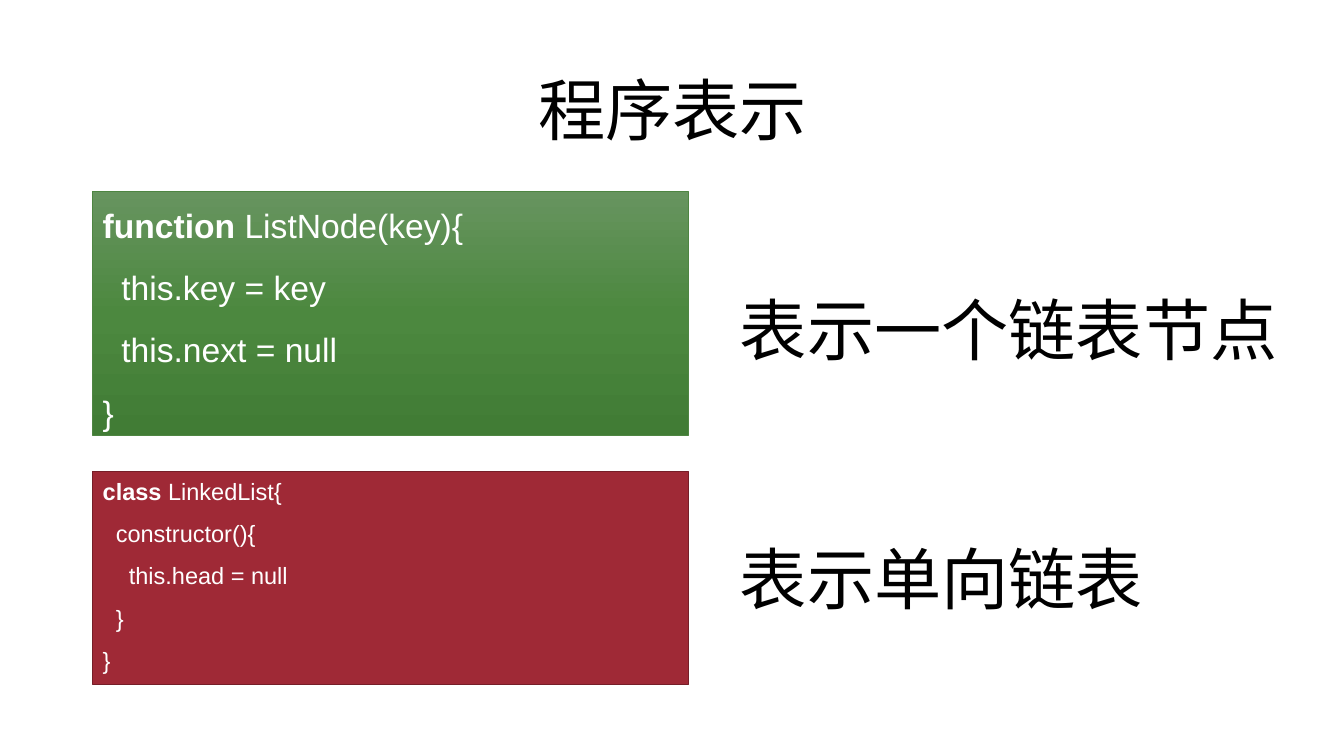
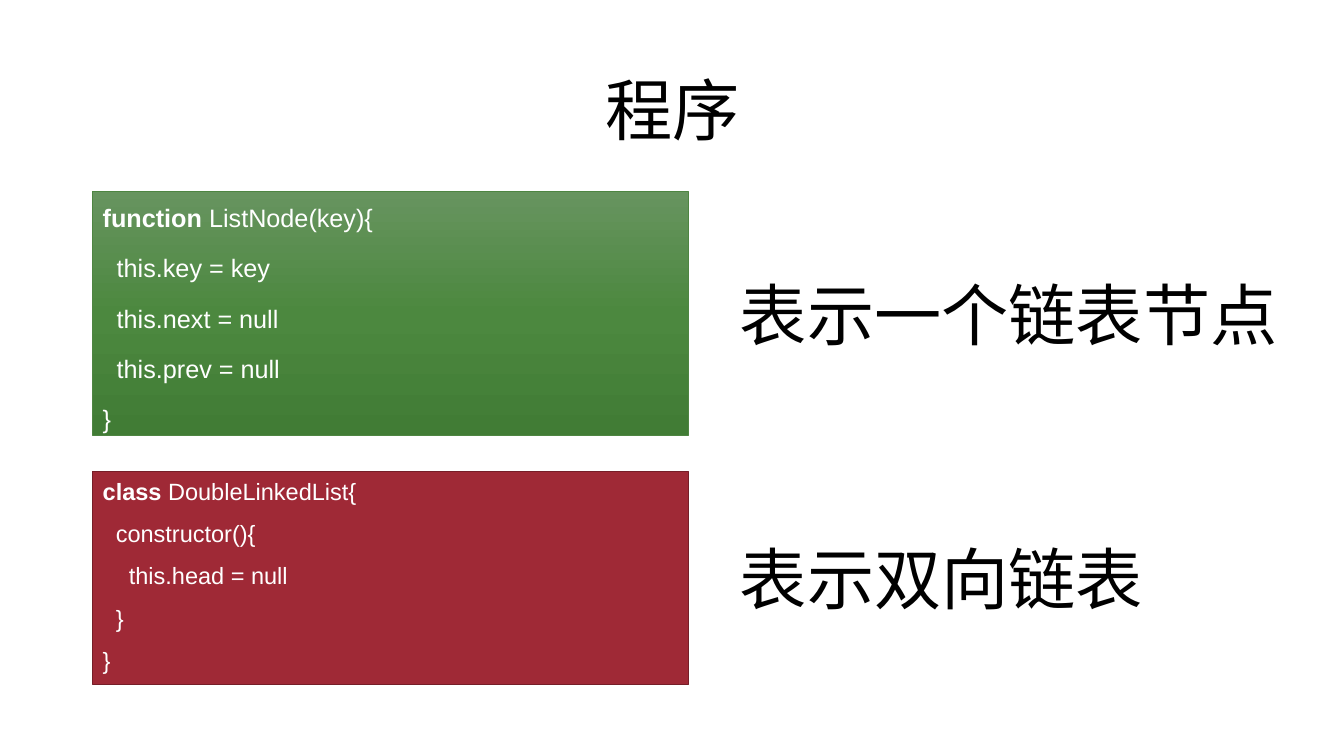
from lxml.etree import SubElement
from pptx import Presentation
from pptx.dml.color import RGBColor
from pptx.enum.shapes import MSO_SHAPE as Preset
from pptx.enum.text import MSO_ANCHOR as Anchor, MSO_AUTO_SIZE as AutoSize, PP_ALIGN as Align
from pptx.oxml.ns import qn
from pptx.util import Inches, Pt

# Shared style
FONT = "Arial"
BLACK, WHITE = "000000", "FFFFFF"
RED, RED_EDGE = "9F2936", "761E28"
GREEN_EDGE = "4E8542"
GREEN_STOPS = [(0, "67945F"), (50, "4C883F"), (100, "417C35")]
LEFT, CODE_WIDTH, LABEL_LEFT = 0.92, 5.91, 7.24
HEADING_SIZE = 48
SPACE_WIDTH = 0.278  # width of a space, as a share of the font size

# Content
CONSTRUCTOR = [(2, "", "constructor(){"), (4, "", "this.head = null"),
               (2, "", "}"), (0, "", "}")]
SLIDES = [
    {"title": "程序表示", "node_size": 24, "node_fields": ["key = key", "next = null"],
     "class_name": "LinkedList", "node_label_top": 2.81, "list_label": "表示单向链表"},
    {"title": "程序", "node_size": 18,
     "node_fields": ["key = key", "next = null", "prev = null"],
     "class_name": "DoubleLinkedList", "node_label_top": 2.66,
     "list_label": "表示双向链表"},
]


def color(value):
    return RGBColor.from_string(value)


def add_span(para, text, size, ink, bold=False):
    span = para.add_run()
    span.text = text
    span.font.name = FONT
    span.font.size = Pt(size)
    span.font.bold = bold
    span.font.color.rgb = color(ink)


def set_title(page, text):
    title = page.shapes.title
    title.left, title.top = Inches(LEFT), Inches(0.4)
    title.width, title.height = Inches(11.5), Inches(1.45)
    title.text_frame.vertical_anchor = Anchor.MIDDLE
    para = title.text_frame.paragraphs[0]
    para.alignment = Align.CENTER
    para.line_spacing = 0.9
    add_span(para, text, HEADING_SIZE, BLACK)


def fill_gradient(shape, stops):
    shape.fill.gradient()
    shape.fill.gradient_angle = 270
    stop_list = shape.element.spPr.find(qn("a:gradFill")).find(qn("a:gsLst"))
    for old_stop in list(stop_list):
        stop_list.remove(old_stop)
    for percent, value in stops:
        stop = SubElement(stop_list, qn("a:gs"), pos=str(percent * 1000))
        SubElement(stop, qn("a:srgbClr"), val=value)


def add_code_box(page, top, height, edge, edge_width, lines, size, line_spacing):
    """Each line is (indent in spaces, bold keyword, rest)."""
    box = page.shapes.add_shape(Preset.RECTANGLE, Inches(LEFT), Inches(top),
                                Inches(CODE_WIDTH), Inches(height))
    box.shadow.inherit = False
    box.line.color.rgb = color(edge)
    box.line.width = Pt(edge_width)
    frame = box.text_frame
    frame.word_wrap = True
    frame.vertical_anchor = Anchor.TOP
    frame.margin_bottom = 0
    for number, (indent, keyword, rest) in enumerate(lines):
        para = frame.add_paragraph() if number else frame.paragraphs[0]
        para.alignment = Align.LEFT
        para.line_spacing = line_spacing
        para.space_before = Pt(10)
        margin = Pt(indent * SPACE_WIDTH * size)
        para._p.get_or_add_pPr().set("marL", str(int(margin)))
        if keyword:
            add_span(para, keyword, size, WHITE, bold=True)
        add_span(para, rest, size, WHITE)
    return box


def add_label(page, top, width, text):
    box = page.shapes.add_textbox(Inches(LABEL_LEFT), Inches(top),
                                  Inches(width), Inches(0.91))
    box.text_frame.word_wrap = False
    box.text_frame.auto_size = AutoSize.SHAPE_TO_FIT_TEXT
    add_span(box.text_frame.paragraphs[0], text, HEADING_SIZE, BLACK)


def add_program_page(deck, content):
    page = deck.slides.add_slide(deck.slide_layouts[5])
    set_title(page, content["title"])

    # List class
    class_lines = [(0, "class", f" {content['class_name']}{{")] + CONSTRUCTOR
    class_box = add_code_box(page, 4.68, 2.11, RED_EDGE, 1, class_lines, 16.8, 1.0)
    class_box.fill.solid()
    class_box.fill.fore_color.rgb = color(RED)

    # Node function
    fields = [(2, "", f"this.{field}") for field in content["node_fields"]]
    node_lines = [(0, "function", " ListNode(key){"), *fields, (0, "", "}")]
    node_box = add_code_box(page, 1.9, 2.42, GREEN_EDGE, 0.5, node_lines,
                            content["node_size"], 1.2)
    fill_gradient(node_box, GREEN_STOPS)

    # Explanations
    add_label(page, content["node_label_top"], 5.59, "表示一个链表节点")
    add_label(page, 5.28, 4.24, content["list_label"])


def main():
    deck = Presentation()
    deck.slide_width, deck.slide_height = Inches(13.33), Inches(7.5)
    for content in SLIDES:
        add_program_page(deck, content)
    deck.save("out.pptx")


if __name__ == "__main__":
    main()
